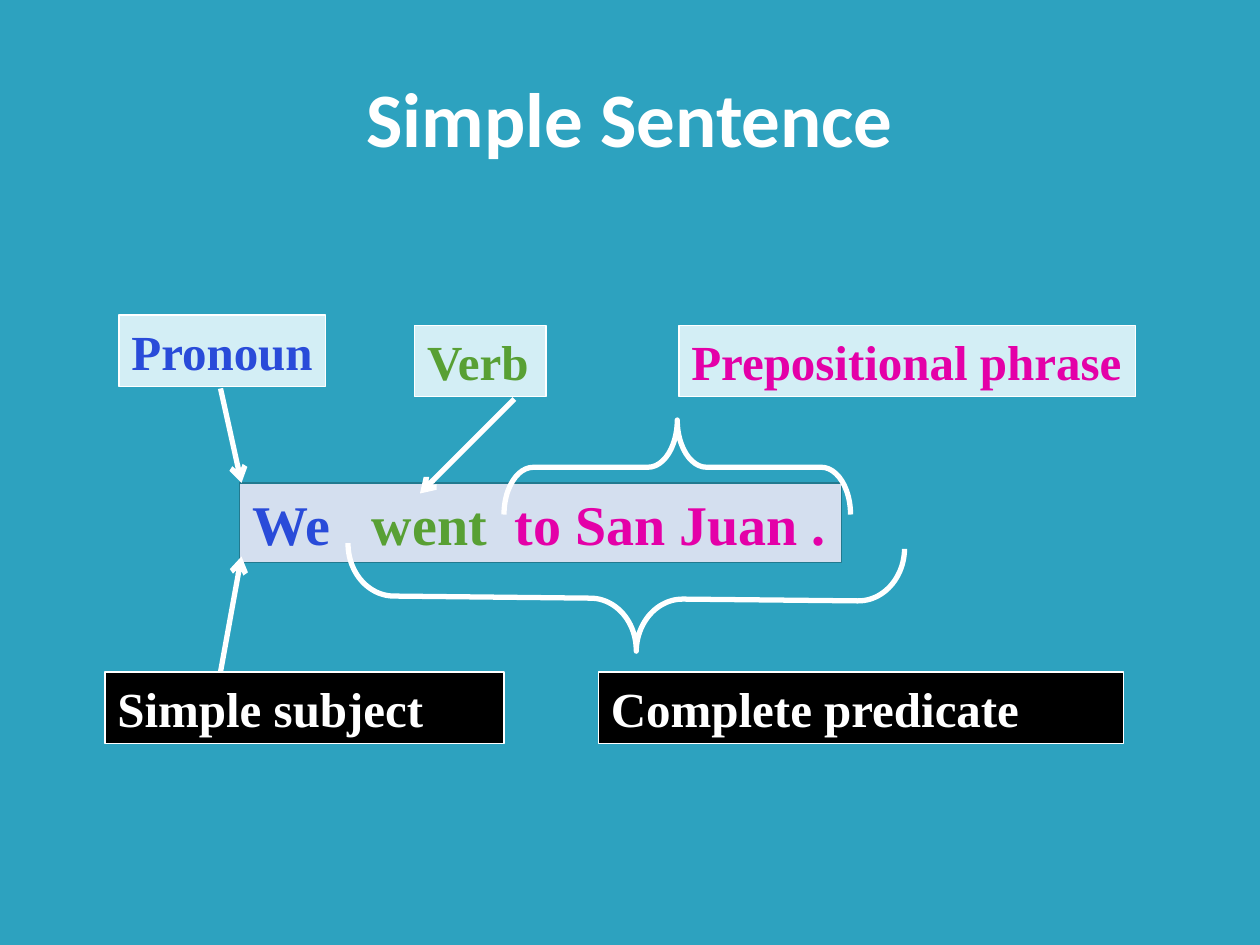
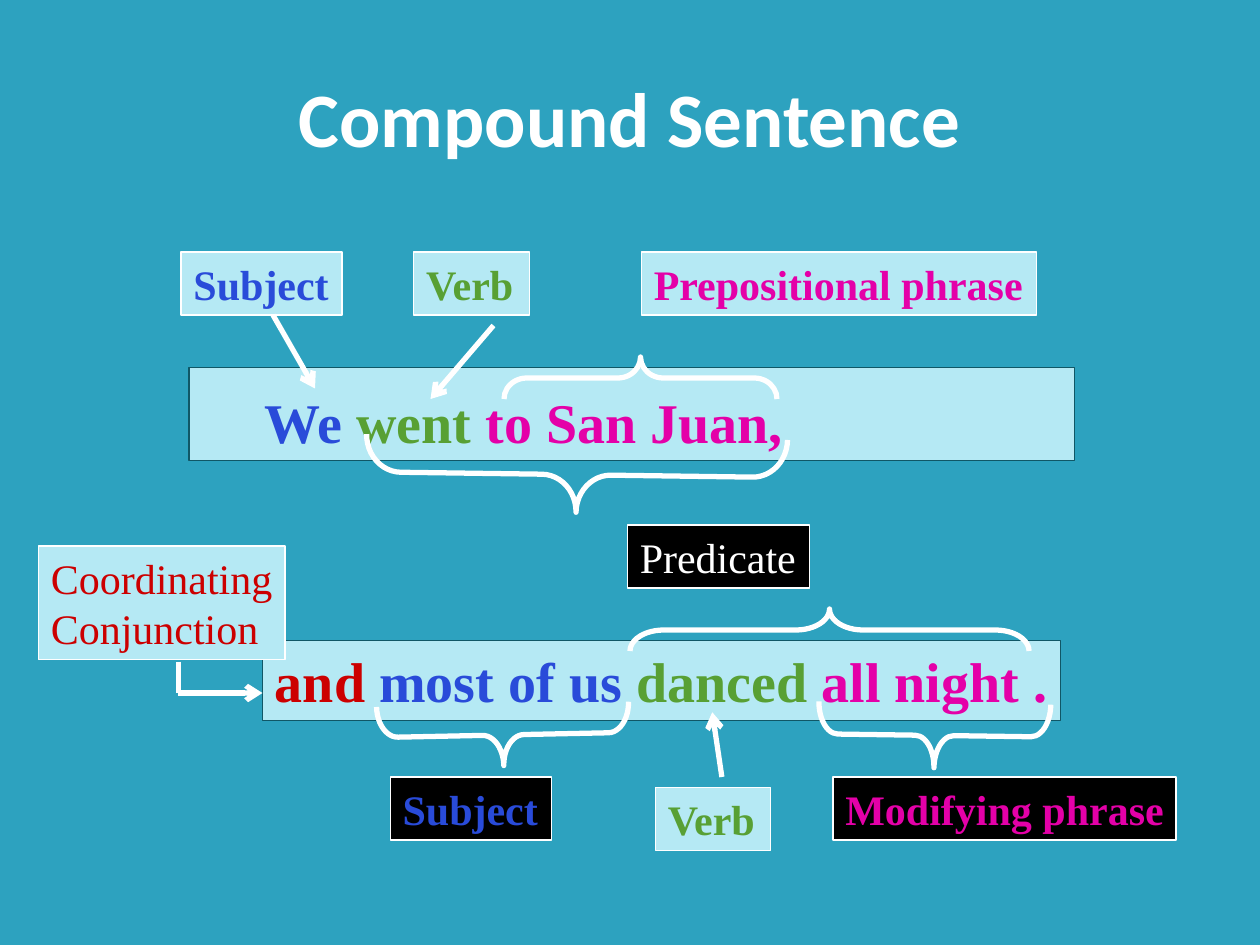
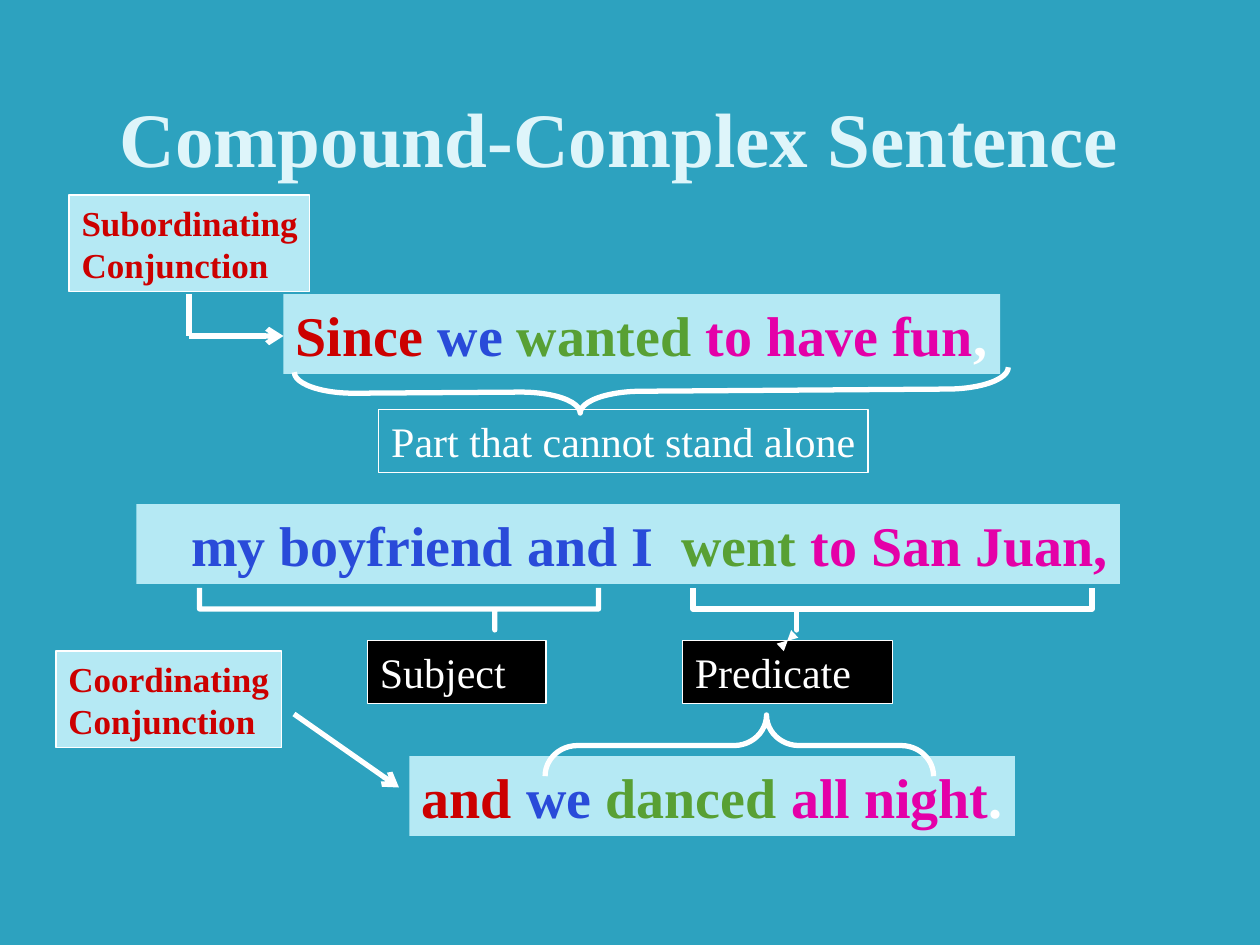
from lxml import etree
from pptx import Presentation
from pptx.dml.color import RGBColor
from pptx.enum.shapes import MSO_CONNECTOR as CONN, MSO_SHAPE as SHAPE
from pptx.enum.text import MSO_ANCHOR as ANCHOR, PP_ALIGN as ALIGN
from pptx.oxml.ns import qn
from pptx.util import Pt

TEAL, WHITE, BLACK = "2DA2BF", "FFFFFF", "000000"
BLUE, GREEN, PINK, RED = "294BD9", "58A034", "E400A8", "CC0000"
PALE, AQUA, LAVENDER, ICE = "D3EEF5", "B5E9F4", "D4DFEF", "DEF5FA"
SERIF, SANS = "Times New Roman", "Calibri"
INSET = 7.2


def rgb(value):
    return RGBColor.from_string(value)


class Deck:
    def __init__(self):
        self.prs = Presentation()
        self.prs.slide_width, self.prs.slide_height = Pt(720), Pt(540)
        self.s = None

    def slide(self):
        self.s = self.prs.slides.add_slide(self.prs.slide_layouts[6])
        fill = self.s.background.fill
        fill.solid()
        fill.fore_color.rgb = rgb(TEAL)

    def add_runs(self, p, runs, size, bold, font=SERIF, tabs=()):
        """Fill a paragraph with (text, colour) runs; tabs are stops in points."""
        if tabs:
            stops = etree.SubElement(p._p.get_or_add_pPr(), qn("a:tabLst"))
            for pos in tabs:
                etree.SubElement(stops, qn("a:tab"), pos=str(Pt(pos)), algn="l")
        p.font.name, p.font.size, p.font.bold = font, Pt(size), bold
        for text, color in runs:
            r = p.add_run()
            r.text = text
            r.font.color.rgb = rgb(color)

    def title(self, text, box=(36, 21.6, 648, 90), color=WHITE, font=SANS,
              anchor=ANCHOR.MIDDLE):
        tf = self.s.shapes.add_textbox(*map(Pt, box)).text_frame
        tf.word_wrap = True
        tf.vertical_anchor = anchor
        p = tf.paragraphs[0]
        p.alignment = ALIGN.CENTER
        self.add_runs(p, [(text, color)], 44, True, font)

    def box(self, x, y, w, lines, size, fill=None, line=None, bold=True,
            wrap=False, indent=0, spacing=1, tabs=()):
        """Draw a rectangle whose height follows from its lines of runs."""
        h = size * 1.2 * spacing * len(lines) + 2 * 3.6
        sp = self.s.shapes.add_shape(SHAPE.RECTANGLE, Pt(x), Pt(y), Pt(w), Pt(h))
        sp.shadow.inherit = False
        if fill:
            sp.fill.solid()
            sp.fill.fore_color.rgb = rgb(fill)
        else:
            sp.fill.background()
        if line:
            sp.line.color.rgb = rgb(line)
            sp.line.width = Pt(0.75)
        else:
            sp.line.fill.background()
        tf = sp.text_frame
        tf.word_wrap = wrap
        tf.vertical_anchor = ANCHOR.TOP
        tf.margin_left = Pt(INSET + indent)
        for i, runs in enumerate(lines):
            p = tf.add_paragraph() if i else tf.paragraphs[0]
            p.alignment = ALIGN.LEFT
            p.line_spacing = spacing
            self.add_runs(p, runs, size, bold, tabs=tabs)

    def sentence(self, x, y, w, *runs, fill=AQUA, line=None, **style):
        self.box(x, y, w, [runs], 32, fill, line, **style)

    def label(self, x, y, w, text, color, size=24, fill=AQUA, **style):
        lines = [[(t, color)] for t in text.split("\n")]
        self.box(x, y, w, lines, size, fill, WHITE, **style)

    def line(self, x1, y1, x2, y2, width=3, head=None, tail="arrow"):
        c = self.s.shapes.add_connector(CONN.STRAIGHT, Pt(x1), Pt(y1), Pt(x2), Pt(y2))
        c.line.color.rgb = rgb(WHITE)
        c.line.width = Pt(width)
        ln = c._element.spPr.find(qn("a:ln"))
        for tag, kind in (("a:headEnd", head), ("a:tailEnd", tail)):
            if kind:
                etree.SubElement(ln, qn(tag), type=kind)
        etree.SubElement(c._element.spPr, qn("a:effectLst"))

    def elbow(self, x, y1, y2, x2):
        self.line(x, y1, x, y2, tail=None)
        self.line(x, y2, x2, y2)

    def brace(self, x, y, w, h, turn, curl, tip=0.5, kind=SHAPE.LEFT_BRACE):
        """Draw a brace w deep and h long; x, y, w, h are before the turn."""
        sp = self.s.shapes.add_shape(kind, Pt(x), Pt(y), Pt(w), Pt(h))
        sp.shadow.inherit = False
        sp.fill.background()
        sp.line.color.rgb = rgb(WHITE)
        sp.line.width = Pt(3)
        sp.adjustments[0], sp.adjustments[1] = curl, tip
        sp.rotation = turn


def simple_sentence(d):
    d.slide()
    d.title("Simple Sentence")
    d.sentence(137, 276, 344, ("We\t", BLUE), ("went\t", GREEN), ("to San Juan .", PINK),
               fill=LAVENDER, line="227A8F", tabs=(68.5, 150))
    for x, y, w, text, color in ((68, 180, 118, "Pronoun", BLUE),
                                 (237, 186, 75, "Verb", GREEN),
                                 (388, 186, 261, "Prepositional phrase", PINK)):
        d.label(x, y, w, text, color, 28, PALE)
    for x, w, text in ((60, 228, "Simple subject"), (342, 300, "Complete predicate")):
        d.label(x, 384, w, text, WHITE, 28, BLACK, wrap=True)
    d.line(126, 222, 138, 276)
    d.line(126, 384, 138, 318)
    d.line(294, 228, 240, 282)
    d.brace(327.6, 183, 60, 318, 270.6, 0.44, 0.52)
    d.brace(360, 168, 54, 198, 90, 0.31)


def compound_sentence(d):
    d.slide()
    d.title("Compound Sentence")
    edge = "105766"
    d.sentence(108, 210, 506, ("We ", BLUE), ("went ", GREEN), ("to San Juan,", PINK),
               line=edge, wrap=True, indent=36, spacing=1.2)
    d.sentence(150, 366, 456, ("and ", RED), ("most of us ", BLUE),
               ("danced ", GREEN), ("all night .", PINK), line=edge)
    for x, y, w, text, color, fill in (
            (103.5, 144, 92, "Subject", BLUE, AQUA),
            (236.5, 144, 66, "Verb", GREEN, AQUA),
            (366.5, 144, 226, "Prepositional phrase", PINK, AQUA),
            (374.5, 450, 66, "Verb", GREEN, AQUA),
            (476, 444, 196, "Modifying phrase", PINK, BLACK),
            (223, 444, 92, "Subject", BLUE, BLACK)):
        d.label(x, y, w, text, color, fill=fill)
    d.label(22, 312, 141, "Coordinating\nConjunction", RED, bold=False)
    d.label(358.5, 300, 104, "Predicate", WHITE, fill=BLACK, bold=False)
    d.line(156, 180, 180, 222)
    d.line(282, 186, 246, 228)
    d.elbow(102, 378, 396, 150)
    d.line(412.5, 444, 407, 407)
    d.brace(308, 151, 43, 240.5, 270.8, 0.46)
    d.brace(462, 246, 24, 228, 90, 0.8)
    d.brace(354, 138, 24, 156, 90, 0.54)
    d.brace(515.5, 354, 37, 132.5, 270.8, 0.3)
    d.brace(270, 348, 35, 144, 88.8, 0.34, kind=SHAPE.RIGHT_BRACE)


def compound_complex_sentence(d):
    d.slide()
    d.sentence(162, 168, 409.5, ("Since ", RED), ("we ", BLUE), ("wanted ", GREEN),
               ("to have fun", PINK), (",", WHITE))
    d.sentence(78, 288, 562, ("my boyfriend and I\t", BLUE), ("went ", GREEN),
               ("to San Juan,", PINK), indent=24, tabs=(280,))
    d.sentence(234, 432, 346, ("and ", RED), ("we ", BLUE), ("danced ", GREEN),
               ("all night", PINK), (".", WHITE))
    for x, w, text in ((210, 102, "Subject"), (390, 120, "Predicate")):
        d.label(x, 366, w, text, WHITE, fill=BLACK, bold=False, wrap=True)
    for x, y, w, text in ((39.5, 111.5, 137.5, "Subordinating"),
                          (32, 372, 129, "Coordinating")):
        d.label(x, y, w, text + "\nConjunction", RED, 20)
    d.label(216.5, 234, 279.5, "Part that cannot stand alone", WHITE, fill=None, bold=False)
    d.elbow(108, 168, 192, 162)
    d.line(168, 408, 228, 450)
    d.title("Compound-Complex Sentence", (48, 0, 612, 108), ICE, SERIF, ANCHOR.BOTTOM)
    d.line(449.8, 366.3, 450.2, 365.9, 0.75, "triangle", "triangle")
    right = SHAPE.RIGHT_BRACE
    d.brace(498, 234, 24, 228, 270, 0, 0.26)
    d.brace(216, 234, 24, 228, 90, 0, 0.26, right)
    d.brace(405, 315, 35, 222, 270, 0.53, 0.57, right)
    d.brace(360, 19.5, 24.5, 408, 269.6, 1.41, 0.4)


def main():
    d = Deck()
    simple_sentence(d)
    compound_sentence(d)
    compound_complex_sentence(d)
    d.prs.save("out.pptx")


if __name__ == "__main__":
    main()
